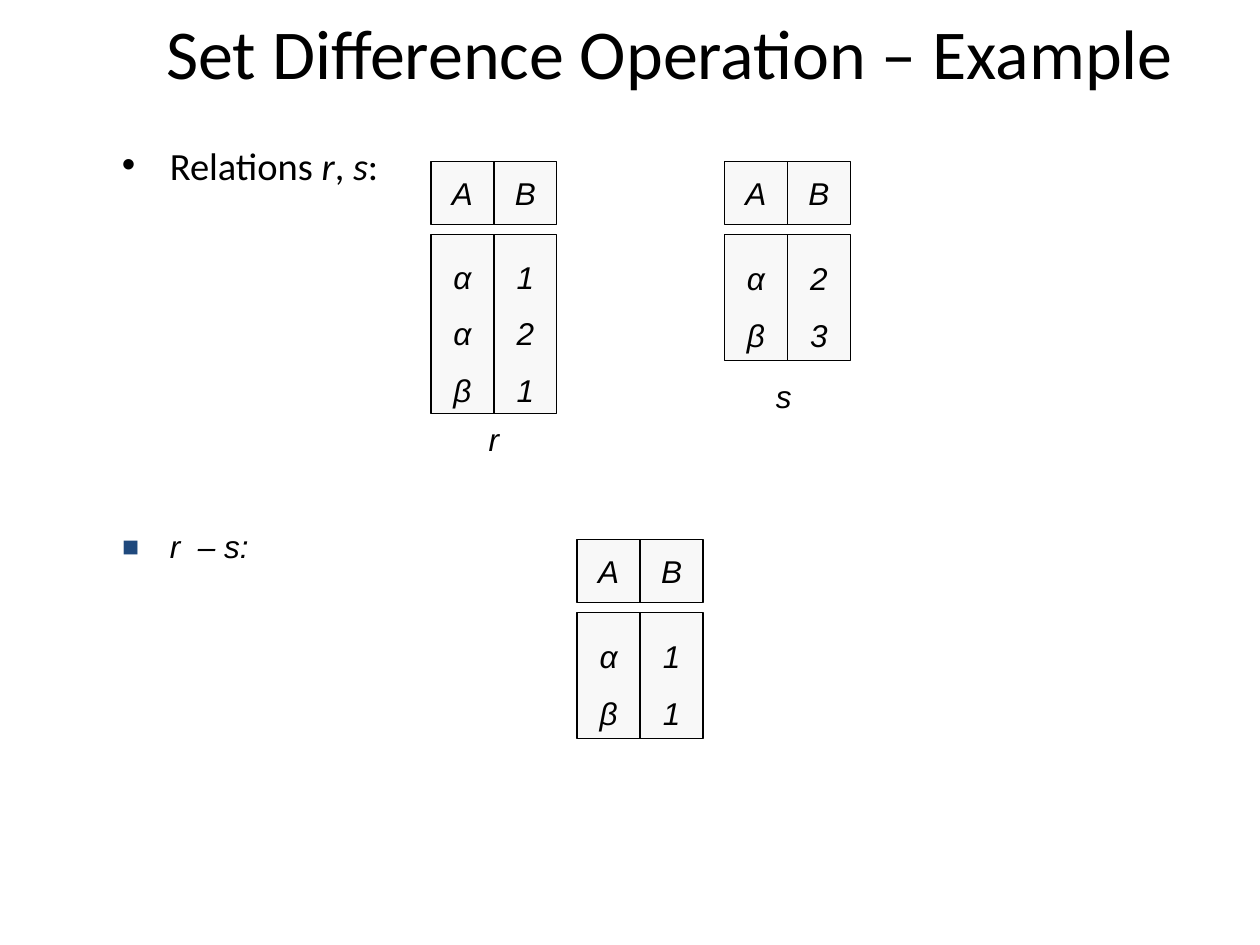
from lxml import etree
from pptx import Presentation
from pptx.dml.color import RGBColor
from pptx.enum.shapes import MSO_SHAPE
from pptx.enum.text import MSO_ANCHOR, PP_ALIGN
from pptx.oxml.ns import qn
from pptx.util import Inches, Pt

RECT = MSO_SHAPE.RECTANGLE
MIDDLE, TOP = MSO_ANCHOR.MIDDLE, MSO_ANCHOR.TOP
CENTER, LEFT = PP_ALIGN.CENTER, PP_ALIGN.LEFT
COLORS = {"ink": "000000", "cell": "F8F8F8", "mark": "1F497D"}
COLS, ROWS = 20, 15


def color(name):
    return RGBColor.from_string(COLORS[name])


class Board:
    """Draws on one slide; places are columns and rows of a 20 by 15 grid."""

    def __init__(self, deck):
        self.slide = deck.slides.add_slide(deck.slide_layouts[6])
        self.col = deck.slide_width / COLS
        self.row = deck.slide_height / ROWS

    def place(self, x, y, wide, high):
        return (round(x * self.col), round(y * self.row),
                round(wide * self.col), round(high * self.row))

    def style(self, frame, font="Arial", size=18, italic=True,
              align=CENTER, anchor=MIDDLE, wrap=False, line=None, before=None):
        frame.word_wrap = wrap
        frame.vertical_anchor = anchor
        for par in frame.paragraphs:
            par.alignment = align
            par.line_spacing = line
            if before is not None:
                par.space_before = Pt(before)
            for run in par.runs:
                run.font.name = font
                run.font.size = Pt(size)
                run.font.italic = italic
                run.font.color.rgb = color("ink")

    def text(self, words, spot, **look):
        frame = self.slide.shapes.add_textbox(*self.place(*spot)).text_frame
        frame.text = words
        self.style(frame, **look)
        return frame

    def bullet(self, par, sign, tint, share=100):
        props = par._p.get_or_add_pPr()
        indent = Inches(0.38)
        props.set("marL", str(indent))
        props.set("indent", str(-indent))
        tone = etree.SubElement(props, qn("a:buClr"))
        etree.SubElement(tone, qn("a:srgbClr"), val=COLORS[tint])
        etree.SubElement(props, qn("a:buSzPct"), val=str(share * 1000))
        etree.SubElement(props, qn("a:buFont"), typeface="Arial")
        etree.SubElement(props, qn("a:buChar"), char=sign)

    def cell(self, words, spot, line=None):
        box = self.slide.shapes.add_shape(RECT, *self.place(*spot))
        box.shadow.inherit = False
        box.fill.solid()
        box.fill.fore_color.rgb = color("cell")
        box.line.color.rgb = color("ink")
        box.line.width = Pt(0.75)
        box.text_frame.text = words
        self.style(box.text_frame, line=line)

    def relation(self, x, y, high, columns):
        """Draws a head cell and a tall value cell for each column."""
        for i, (head, values) in enumerate(columns.items()):
            self.cell(head, (x + i, y, 1, 1))
            self.cell("\n".join(values), (x + i, y + 1.16, 1, high), line=1.5)


def main():
    deck = Presentation()
    deck.slide_width, deck.slide_height = Inches(10), Inches(7.5)
    board = Board(deck)

    board.text("Set Difference Operation – Example", (1.8, 0.14, 17.66, 1.34),
               font="Calibri", size=40, italic=False, wrap=True)

    given = board.text("Relations ", (1.74, 2.36, 15, 0.74))
    par = given.paragraphs[0]
    for words in ("r", ", ", "s", ":"):
        par.add_run().text = words
    board.style(given, font="Calibri", size=22, italic=False, align=LEFT,
                anchor=TOP, wrap=True, line=0.7, before=5.5)
    for run in par.runs:
        run.font.italic = run.text in ("r", "s")
    board.bullet(par, "•", "ink")

    result = board.text("r  – s:", (1.74, 8.34, 15.38, 0.72), align=LEFT,
                        anchor=TOP, wrap=True, line=0.9, before=7.9)
    board.bullet(result.paragraphs[0], "■", "mark", 90)

    board.relation(6.84, 2.56, 2.84, {"A": "ααβ", "B": "121"})
    board.relation(11.5, 2.56, 2, {"A": "αβ", "B": "23"})
    board.relation(9.16, 8.56, 2, {"A": "αβ", "B": "11"})

    board.text("r", (7.56, 6.56, 0.56, 0.8), before=11.2)
    board.text("s", (12.12, 5.88, 0.64, 0.8), before=11.2)

    deck.save("out.pptx")


if __name__ == "__main__":
    main()
